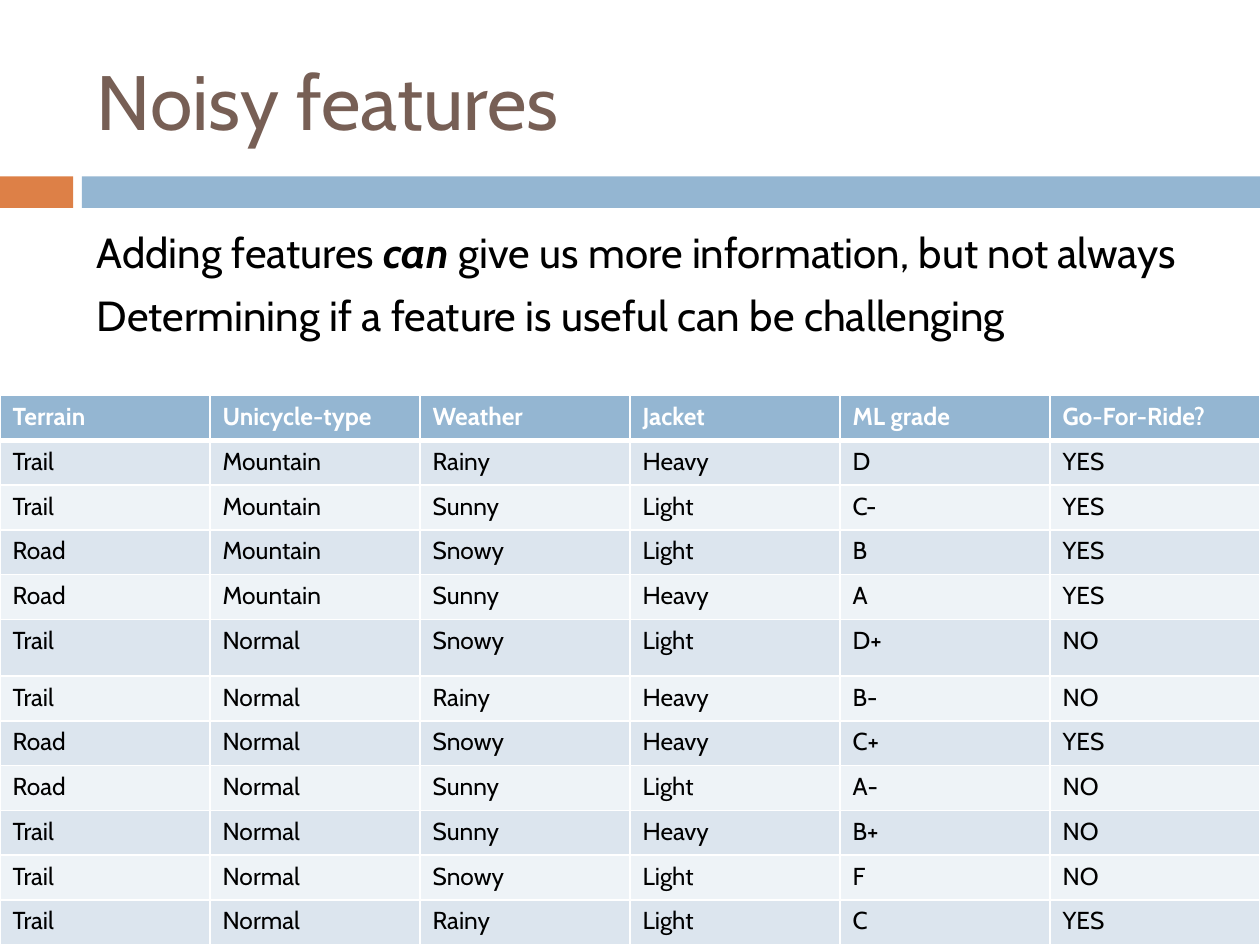
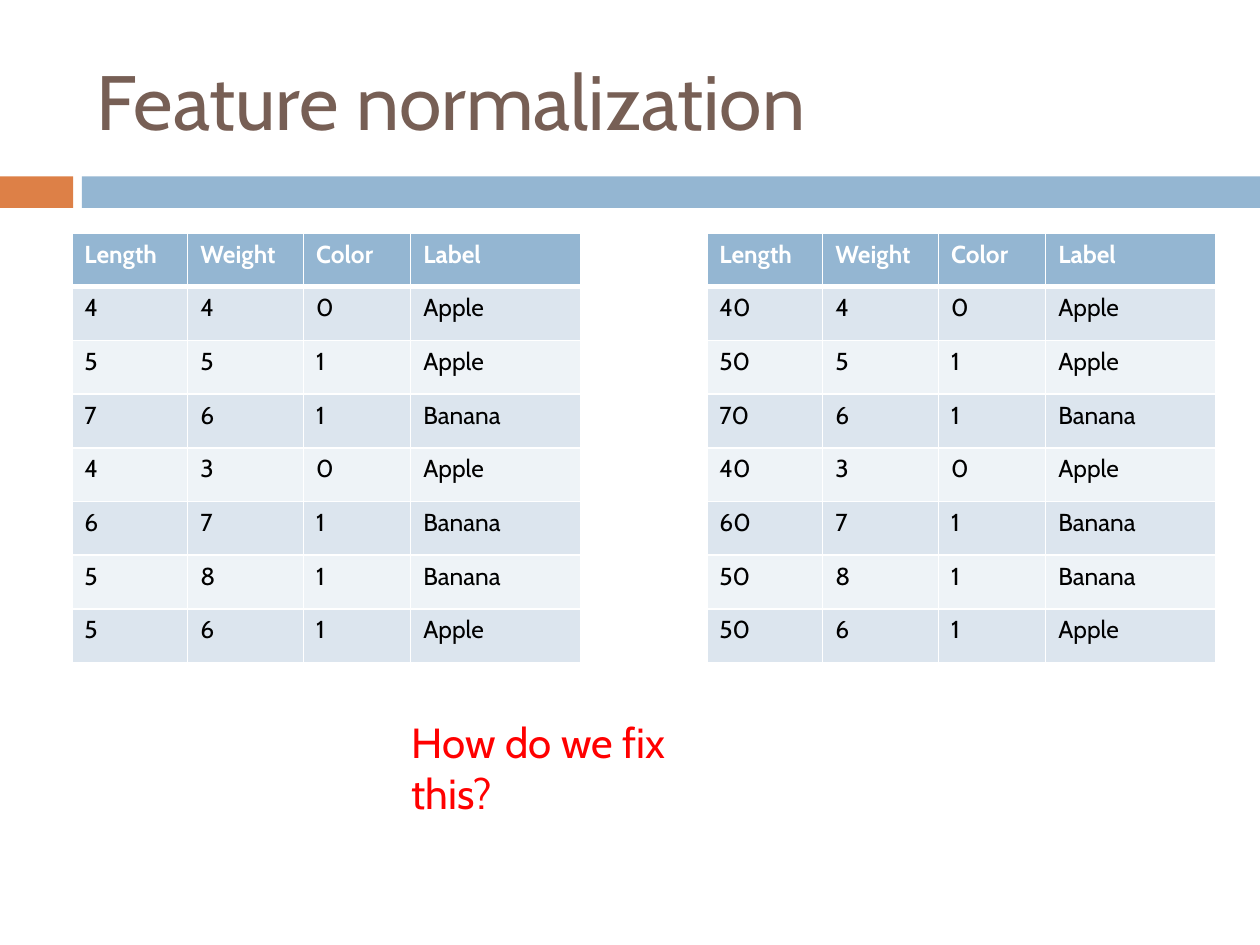
from lxml import etree
from pptx import Presentation
from pptx.dml.color import RGBColor
from pptx.enum.shapes import MSO_SHAPE as Shape
from pptx.enum.text import MSO_ANCHOR as Anchor, MSO_AUTO_SIZE as AutoSize
from pptx.oxml.ns import qn
from pptx.util import Inches, Pt

FONT = "Cabin"
BLACK, WHITE, RED = "000000", "FFFFFF", "FF0000"
BROWN, ORANGE, BLUE = "775F55", "DD8047", "94B6D2"
STRIPES = ("DCE5EE", "EEF3F7")

RIDE_HEADER = ["Terrain", "Unicycle-type", "Weather", "Jacket", "ML grade", "Go-For-Ride?"]
RIDES = [
    ["Trail", "Mountain", "Rainy", "Heavy", "D", "YES"],
    ["Trail", "Mountain", "Sunny", "Light", "C-", "YES"],
    ["Road", "Mountain", "Snowy", "Light", "B", "YES"],
    ["Road", "Mountain", "Sunny", "Heavy", "A", "YES"],
    ["Trail", "Normal", "Snowy", "Light", "D+", "NO"],
    ["Trail", "Normal", "Rainy", "Heavy", "B-", "NO"],
    ["Road", "Normal", "Snowy", "Heavy", "C+", "YES"],
    ["Road", "Normal", "Sunny", "Light", "A-", "NO"],
    ["Trail", "Normal", "Sunny", "Heavy", "B+", "NO"],
    ["Trail", "Normal", "Snowy", "Light", "F", "NO"],
    ["Trail", "Normal", "Rainy", "Light", "C", "YES"],
]
FRUIT_HEADER = ["Length", "Weight", "Color", "Label"]
FRUITS = [
    (4, 4, 0, "Apple"),
    (5, 5, 1, "Apple"),
    (7, 6, 1, "Banana"),
    (4, 3, 0, "Apple"),
    (6, 7, 1, "Banana"),
    (5, 8, 1, "Banana"),
    (5, 6, 1, "Apple"),
]


def color(hex_code):
    return RGBColor.from_string(hex_code)


def add_span(para, text, size, hex_code, bold=False, italic=False):
    span = para.add_run()
    span.text = text
    font = span.font
    font.name, font.size = FONT, Pt(size)
    font.bold, font.italic = bold, italic
    font.color.rgb = color(hex_code)


def add_text_box(page, left, top, width, height):
    box = page.shapes.add_textbox(Inches(left), Inches(top), Inches(width), Inches(height))
    box.text_frame.word_wrap = True
    return box.text_frame


def add_band(page, left, width, hex_code):
    band = page.shapes.add_shape(
        Shape.RECTANGLE, Inches(left), Inches(1.4), Inches(width), Inches(0.25))
    band.shadow.inherit = False
    band.fill.solid()
    band.fill.fore_color.rgb = color(hex_code)
    band.line.fill.background()


def add_titled_page(deck, title):
    page = deck.slides.add_slide(deck.slide_layouts[6])
    add_band(page, 0, 0.58, ORANGE)
    add_band(page, 0.65, 9.35, BLUE)
    frame = add_text_box(page, 0.67, 0.25, 8.92, 1.08)
    frame.vertical_anchor = Anchor.MIDDLE
    add_span(frame.paragraphs[0], title, 44, BROWN)
    return page


def set_borders(cell, top=1, bottom=1):
    """Give a cell white borders; widths are in points."""
    properties = cell._tc.get_or_add_tcPr()
    sides = (("a:lnL", 1), ("a:lnR", 1), ("a:lnT", top), ("a:lnB", bottom))
    for position, (tag, points) in enumerate(sides):
        line = etree.Element(qn(tag), w=str(Pt(points)))
        fill = etree.SubElement(line, qn("a:solidFill"))
        etree.SubElement(fill, qn("a:srgbClr"), val=WHITE)
        properties.insert(position, line)


def add_data_table(page, left, top, widths, heights, header, records):
    rows = [header, *records]
    table = page.shapes.add_table(
        len(rows), len(header), Inches(left), Inches(top),
        Inches(sum(widths)), Inches(sum(heights))).table
    for column, width in zip(table.columns, widths):
        column.width = Inches(width)
    for row_number, (row, height, values) in enumerate(zip(table.rows, heights, rows)):
        row.height = Inches(height)
        is_header = row_number == 0
        for cell, value in zip(row.cells, values):
            cell.fill.solid()
            cell.fill.fore_color.rgb = color(BLUE if is_header else STRIPES[(row_number - 1) % 2])
            set_borders(cell, top=3 if row_number == 1 else 1, bottom=3 if is_header else 1)
            add_span(cell.text_frame.paragraphs[0], str(value), 14,
                     WHITE if is_header else BLACK, bold=is_header)


def add_statements(page):
    frame = add_text_box(page, 0.67, 1.75, 8.92, 1.3)
    first = frame.paragraphs[0]
    add_span(first, "Adding features ", 24, BLACK)
    add_span(first, "can", 24, BLACK, bold=True, italic=True)
    add_span(first, " give us more information, but not always", 24, BLACK)
    second = frame.add_paragraph()
    add_span(second, "Determining if a feature is useful can be challenging", 24, BLACK)
    for para in frame.paragraphs:
        para.space_before = Pt(7)


def build_noisy_features(deck):
    page = add_titled_page(deck, "Noisy features")
    add_statements(page)
    tall_row, tall_height, table_height = 5, 0.45, 4.36
    heights = [(table_height - tall_height) / len(RIDES)] * (len(RIDES) + 1)
    heights[tall_row] = tall_height
    widths = [10 / len(RIDE_HEADER)] * len(RIDE_HEADER)
    add_data_table(page, 0, 3.14, widths, heights, RIDE_HEADER, RIDES)


def build_feature_normalization(deck):
    page = add_titled_page(deck, "Feature normalization")
    widths = [0.92, 0.92, 0.85, 1.35]
    heights = [3.41 / (len(FRUITS) + 1)] * (len(FRUITS) + 1)
    for left, scale in ((0.57, 1), (5.61, 10)):
        records = [(length * scale, *others) for length, *others in FRUITS]
        add_data_table(page, left, 1.85, widths, heights, FRUIT_HEADER, records)
    frame = add_text_box(page, 3.17, 5.64, 2.88, 0.5)
    frame.auto_size = AutoSize.SHAPE_TO_FIT_TEXT
    add_span(frame.paragraphs[0], "How do we fix this?", 24, RED)


def main():
    deck = Presentation()
    deck.slide_width, deck.slide_height = Inches(10), Inches(7.5)
    build_noisy_features(deck)
    build_feature_normalization(deck)
    deck.save("out.pptx")


if __name__ == "__main__":
    main()
